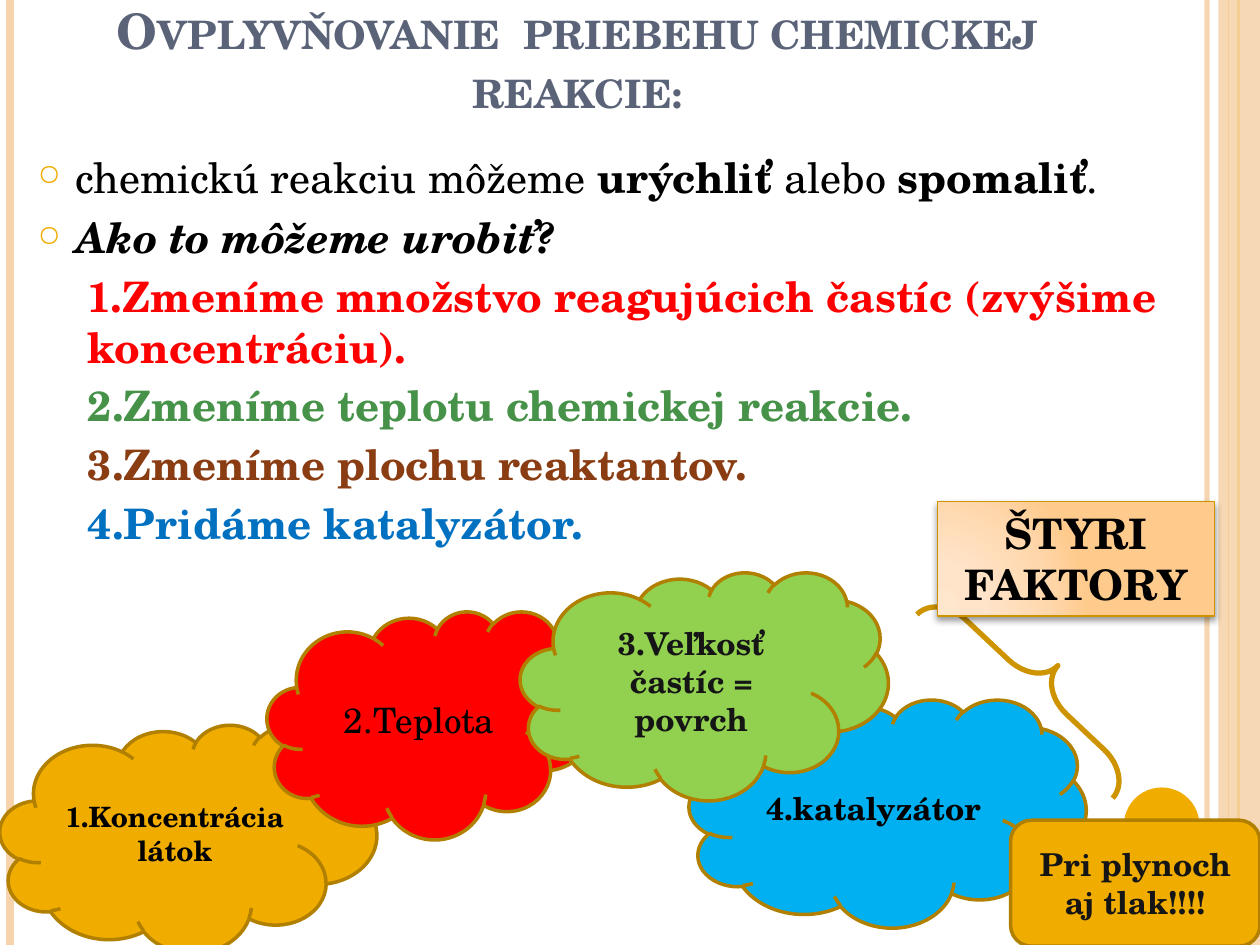
from lxml import etree
from pptx import Presentation
from pptx.dml.color import RGBColor
from pptx.enum.shapes import MSO_CONNECTOR, MSO_SHAPE
from pptx.enum.text import MSO_ANCHOR, MSO_AUTO_SIZE, PP_ALIGN
from pptx.oxml import parse_xml
from pptx.oxml.ns import nsdecls, qn
from pptx.util import Pt

STRAIGHT = MSO_CONNECTOR.STRAIGHT
RECT, ROUNDED = MSO_SHAPE.RECTANGLE, MSO_SHAPE.ROUNDED_RECTANGLE
OVAL, CLOUD, BRACE = MSO_SHAPE.OVAL, MSO_SHAPE.CLOUD, MSO_SHAPE.RIGHT_BRACE
TOP, MIDDLE, BOTTOM = MSO_ANCHOR.TOP, MSO_ANCHOR.MIDDLE, MSO_ANCHOR.BOTTOM
CENTER, LEFT = PP_ALIGN.CENTER, PP_ALIGN.LEFT
NO_FIT = MSO_AUTO_SIZE.NONE

FONT = "TeX Gyre Schola"
WIDTH, HEIGHT = 720, 540

PEACH = RGBColor(0xF6, 0xD3, 0xAB)
AMBER = RGBColor(0xF0, 0xAD, 0x00)
AMBER_EDGE = RGBColor(0xB2, 0x80, 0x00)
GOLD = RGBColor(0xCE, 0x94, 0x00)
SLATE = RGBColor(0x5A, 0x63, 0x78)
BLACK = RGBColor(0x00, 0x00, 0x00)
CHARCOAL = RGBColor(0x15, 0x15, 0x16)
RED = RGBColor(0xFF, 0x00, 0x00)
GREEN = RGBColor(0x47, 0x92, 0x49)
LIME = RGBColor(0x92, 0xD0, 0x50)
BROWN = RGBColor(0x8A, 0x3C, 0x12)
BLUE = RGBColor(0x00, 0x70, 0xC0)
SKY = RGBColor(0x00, 0xB0, 0xF0)

# x, colour, width, opacity in percent
RAILS = [(689.76, PEACH, 3, 93), (5.76, PEACH, 4.5, 100),
         (707.76, AMBER, 1.5, 100), (702, AMBER, 0.75, 100)]

# text, bold
INTRO = [("chemickú reakciu môžeme ", False), ("urýchliť ", True),
         ("alebo ", False), ("spomaliť", True), (".", False)]
QUESTION = [("Ako to môžeme urobiť?", True)]
ANSWERS = [
    ("1.Zmeníme množstvo reagujúcich častíc (zvýšime koncentráciu).", RED),
    ("2.Zmeníme teplotu chemickej reakcie.", GREEN),
    ("3.Zmeníme plochu reaktantov.", BROWN),
    ("4.Pridáme katalyzátor.", BLUE),
]

# shape, left, top, width, height, fill, text, size, text colour, bold
FACTORS = [
    (CLOUD, 0, 414, 215.28, 130.32, AMBER, "1.Koncentrácia látok", 16, BLACK, True),
    (CLOUD, 152.64, 349.2, 187.2, 130.32, RED, "2.Teplota", 20, BLACK, False),
    (CLOUD, 393.84, 399.6, 226.8, 130.32, SKY, "4.katalyzátor", 18, BLACK, True),
    (CLOUD, 297.36, 326.88, 210.24, 130.32, LIME, "3.Veľkosť častíc = povrch", 18, CHARCOAL, True),
    (ROUNDED, 577.44, 468.72, 142.56, 72, AMBER, "Pri plynoch aj tlak!!!!", 18, CHARCOAL, True),
]

GRADIENT = (
    f'<a:gradFill {nsdecls("a")} rotWithShape="1"><a:gsLst>'
    '<a:gs pos="0"><a:srgbClr val="FFE7CE"/></a:gs>'
    '<a:gs pos="30000"><a:srgbClr val="FFE4CA"/></a:gs>'
    '<a:gs pos="75000"><a:srgbClr val="FFD7AC"/></a:gs>'
    '<a:gs pos="100000"><a:srgbClr val="FFCB8D"/></a:gs></a:gsLst>'
    '<a:path path="circle"><a:fillToRect l="5000" t="100000" r="120000" b="10000"/>'
    '</a:path></a:gradFill>')
SHADOW = (
    f'<a:outerShdw {nsdecls("a")} blurRad="50800" dist="25400" dir="5400000" '
    'rotWithShape="0"><a:srgbClr val="000000"><a:alpha val="40000"/></a:srgbClr></a:outerShdw>')


def set_opacity(properties, percent):
    color = next(properties.iter(qn("a:srgbClr")))
    etree.SubElement(color, qn("a:alpha")).set("val", str(percent * 1000))


def style_font(font, size, color, bold=False, italic=False):
    font.name, font.size = FONT, Pt(size)
    font.color.rgb = color
    font.bold, font.italic = bold, italic


def add_rail(slide, x, color, width, opacity):
    rail = slide.shapes.add_connector(STRAIGHT, Pt(x), 0, Pt(x), Pt(HEIGHT))
    rail.line.color.rgb, rail.line.width = color, Pt(width)
    if opacity < 100:
        set_opacity(rail.line._ln, opacity)
    etree.SubElement(rail._element.spPr, qn("a:effectLst"))


def add_figure(slide, kind, left, top, width, height, fill=None, edge=None, weight=2):
    figure = slide.shapes.add_shape(kind, Pt(left), Pt(top), Pt(width), Pt(height))
    figure.shadow.inherit = False
    if fill is None:
        figure.fill.background()
    else:
        figure.fill.solid()
        figure.fill.fore_color.rgb = fill
    if edge is None:
        figure.line.fill.background()
    else:
        figure.line.color.rgb, figure.line.width = edge, Pt(weight)
    return figure


def write_centred(shape, text, size, color, bold, anchor=MIDDLE):
    frame = shape.text_frame
    frame.text = text
    frame.word_wrap, frame.auto_size, frame.vertical_anchor = True, NO_FIT, anchor
    paragraph = frame.paragraphs[0]
    paragraph.alignment = CENTER
    style_font(paragraph.runs[0].font, size, color, bold)


def indent(paragraph, margin, first_line=0):
    properties = paragraph._p.get_or_add_pPr()
    properties.set("marL", str(Pt(margin)))
    properties.set("indent", str(Pt(first_line)))
    return properties


def add_bullet(paragraph):
    properties = indent(paragraph, 21.6, -21.6)
    color = etree.SubElement(properties, qn("a:buClr"))
    etree.SubElement(color, qn("a:srgbClr")).set("val", str(AMBER))
    etree.SubElement(properties, qn("a:buSzPct")).set("val", "70000")
    etree.SubElement(properties, qn("a:buChar")).set("char", "○")


def add_title(slide):
    title = slide.shapes.title
    title.left, title.top, title.width, title.height = Pt(36), Pt(21.6), Pt(588.24), Pt(49.68)
    write_centred(title, "Ovplyvňovanie  priebehu chemickej reakcie:", 28, SLATE, True, BOTTOM)
    title.text_frame.paragraphs[0].runs[0].font._element.set("cap", "small")


def add_body(slide):
    frame = slide.shapes.add_textbox(Pt(14.4), Pt(82.8), Pt(705.6), Pt(415.44)).text_frame
    frame.word_wrap, frame.auto_size = True, NO_FIT
    lines = [(parts, BLACK) for parts in (INTRO, QUESTION)]
    lines += [([(answer, True)], color) for answer, color in ANSWERS]
    for number, (parts, color) in enumerate(lines):
        paragraph = frame.add_paragraph() if number else frame.paragraphs[0]
        paragraph.alignment = LEFT
        if color == BLACK:
            add_bullet(paragraph)
        else:
            indent(paragraph, 28.8)
        if number:
            paragraph.space_before = Pt(6 if color == BLACK else 4.8)
        for text, bold in parts:
            run = paragraph.add_run()
            run.text = text
            style_font(run.font, 24, color, bold, italic=parts is QUESTION)


def add_heading_card(slide):
    card = add_figure(slide, RECT, 535.68, 286.56, 158.4, 65.52, AMBER, GOLD, 1)
    properties = card._element.spPr
    properties.replace(properties.find(qn("a:solidFill")), parse_xml(GRADIENT))
    properties.find(qn("a:effectLst")).append(parse_xml(SHADOW))
    write_centred(card, "ŠTYRI FAKTORY", 24, BLACK, True, TOP)


def add_brace(slide):
    brace = add_figure(slide, BRACE, 574.56, 314.64, 33.84, 153.36, edge=GOLD, weight=3)
    brace.rotation = 313.2
    brace.adjustments[0], brace.adjustments[1] = 0.671, 0.513


def main():
    presentation = Presentation()
    presentation.slide_width, presentation.slide_height = Pt(WIDTH), Pt(HEIGHT)
    slide = presentation.slides.add_slide(presentation.slide_layouts[5])
    for rail in RAILS:
        add_rail(slide, *rail)
    band = add_figure(slide, RECT, 696.24, 0, 23.76, HEIGHT, PEACH)
    set_opacity(band._element.spPr, 87)
    add_figure(slide, OVAL, 642.24, 450, 43.2, 43.2, AMBER)
    add_title(slide)
    add_body(slide)
    add_brace(slide)
    add_heading_card(slide)
    for kind, left, top, width, height, fill, *label in FACTORS:
        factor = add_figure(slide, kind, left, top, width, height, fill, AMBER_EDGE)
        write_centred(factor, *label)
    presentation.save("out.pptx")


if __name__ == "__main__":
    main()
